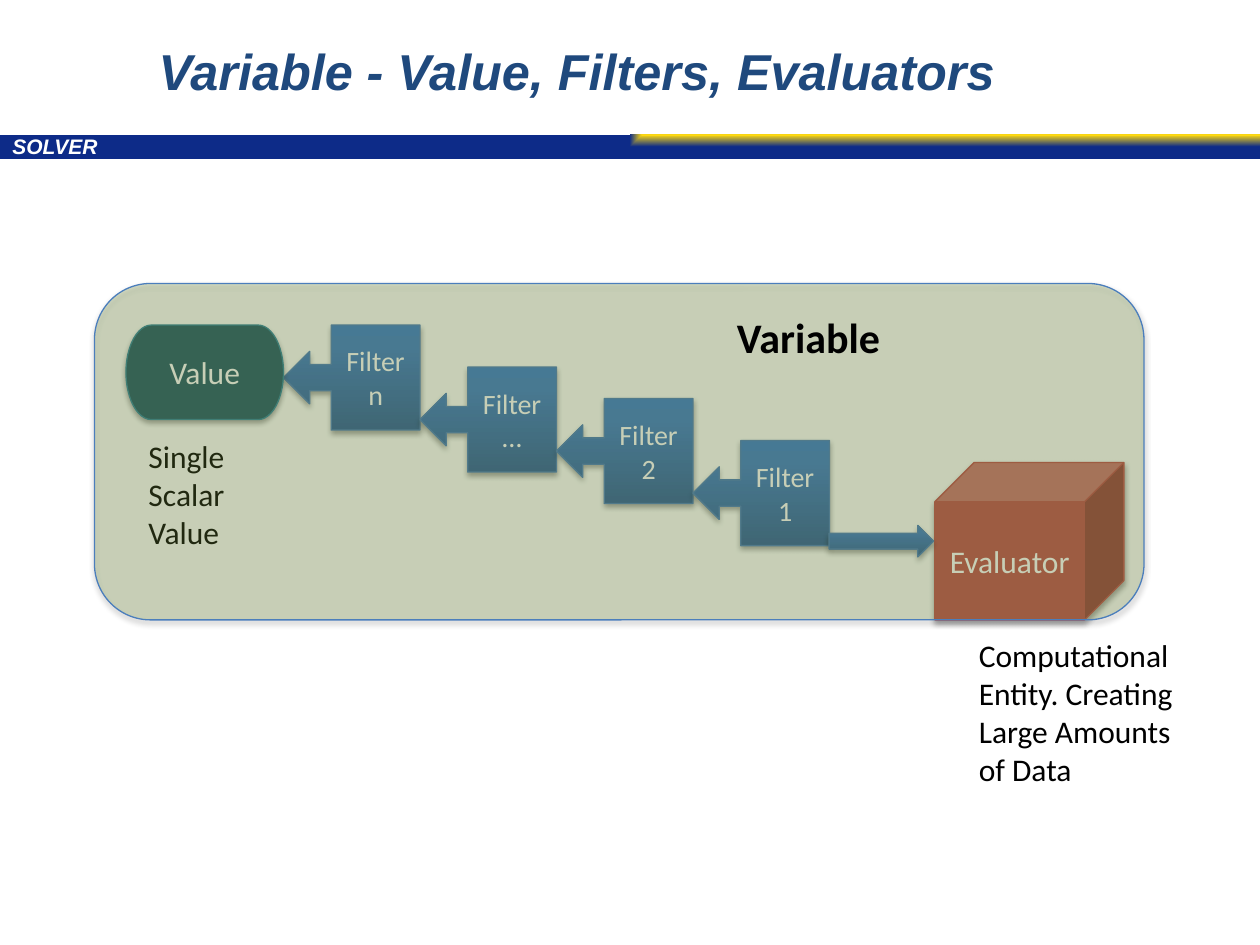
from lxml import etree
from pptx import Presentation
from pptx import util as u
from pptx.dml.color import RGBColor
from pptx.enum import shapes, text
from pptx.oxml.ns import qn

SHAPE = shapes.MSO_SHAPE
ANCHOR = text.MSO_ANCHOR
ALIGN = text.PP_ALIGN
BLUE_STOPS = [(0, "2F5F99"), (80, "3D7CC7"), (100, "3A7CCB")]
BLUE_LINE = "4B7EBC"
HEADING = {"name": "Arial", "bold": True, "italic": True}


def color(value):
    return RGBColor.from_string(value)


def add_node(parent, tag, **attributes):
    return etree.SubElement(parent, qn(tag), {k: str(v) for k, v in attributes.items()})


def add_gradient(shape, stops):
    properties = shape._element.spPr
    gradient = etree.Element(qn("a:gradFill"), {"rotWithShape": "1"})
    properties.find(qn("a:prstGeom")).addnext(gradient)
    stop_list = add_node(gradient, "a:gsLst")
    for position, value in stops:
        stop = add_node(stop_list, "a:gs", pos=position * 1000)
        add_node(stop, "a:srgbClr", val=value)
    return gradient


def add_linear_gradient(shape, stops):
    add_node(add_gradient(shape, stops), "a:lin", ang=270 * 60000, scaled=0)


def add_shadow(shape):
    effects = shape._element.spPr.find(qn("a:effectLst"))
    shadow = add_node(effects, "a:outerShdw", blurRad=40000, dist=23000,
                      dir=90 * 60000, rotWithShape=0)
    add_node(add_node(shadow, "a:srgbClr", val="000000"), "a:alpha", val=35000)


def write(frame, lines, size, fill, align=ALIGN.LEFT, spacing=None, **font):
    for index, line in enumerate(lines):
        paragraph = frame.paragraphs[0] if index == 0 else frame.add_paragraph()
        paragraph.alignment = align
        paragraph.line_spacing = spacing
        run = paragraph.add_run()
        run.text = line
        run.font.color.rgb = color(fill)
        for key, value in {"name": "Calibri", "size": u.Pt(size), **font}.items():
            setattr(run.font, key, value)


def add_text(slide, box, lines, size, fill="000000", wrap=True, anchor=ANCHOR.TOP, **style):
    frame = slide.shapes.add_textbox(*map(u.Inches, box)).text_frame
    frame.word_wrap = wrap
    frame.vertical_anchor = anchor
    write(frame, lines, size, fill, **style)


def add_block(slide, kind, box, line, fill=None, label=None, size=18):
    block = slide.shapes.add_shape(kind, *map(u.Inches, box))
    block.shadow.inherit = False
    if fill:
        block.fill.solid()
        block.fill.fore_color.rgb = color(fill)
    else:
        add_linear_gradient(block, BLUE_STOPS)
    block.line.color.rgb = color(line)
    block.line.width = u.Pt(0.75)
    add_shadow(block)
    if label:
        block.text_frame.vertical_anchor = ANCHOR.MIDDLE
        write(block.text_frame, [label], size, "FFFFFF", align=ALIGN.CENTER)
    return block


def add_banner(slide, left, top, width, height):
    band = slide.shapes.add_shape(SHAPE.RECTANGLE, *map(u.Inches, (left, top, width, height)))
    band.shadow.inherit = False
    band.line.fill.background()
    gradient = add_gradient(band, [(0, "FED910"), (100, "0D2B88")])
    focus = add_node(gradient, "a:path", path="rect")
    add_node(focus, "a:fillToRect", l=100000, b=100000)
    add_text(slide, (left, top - 0.02, 5.5, 0.26), ["SOLVER"], 12, "FFFFFF",
             spacing=0.8, **HEADING)


def add_title(slide, left, top, width, height):
    add_text(slide, (left, top, width, height), ["Variable - Value, Filters, Evaluators"],
             28.8, "1F497D", anchor=ANCHOR.MIDDLE, align=ALIGN.CENTER, **HEADING)


def add_filters(slide, left, top):
    width, height = 13 / 12, 10 / 12
    drops = {"Filter n": 0, "Filter …": 4 / 12, "Filter 2": 7 / 12, "Filter 1": 11 / 12}
    for index, (label, drop) in enumerate(drops.items()):
        add_block(slide, SHAPE.LEFT_ARROW_CALLOUT,
                  (left + index * width, top + drop, width, height),
                  BLUE_LINE, label=label, size=16)


def add_variable(slide, left, top, width, height):
    add_filters(slide, left + 1.5, top + 0.33)
    add_block(slide, SHAPE.CUBE, (left + 6.67, top + height - 1.25, 1.5, 1.25),
              "C0504D", "C0504D", "Evaluator")
    add_block(slide, SHAPE.FLOWCHART_TERMINATOR, (left + 0.25, top + 0.33, 1.25, 0.75),
              "31859C", "215968", "Value")
    add_block(slide, SHAPE.RIGHT_ARROW, (left + 5.83, top + 1.92, 0.83, 0.25), BLUE_LINE)
    add_text(slide, (left + 0.33, top + 1.17, 0.81, 1.01),
             ["Single", "Scalar", "Value"], 18, wrap=False)
    add_text(slide, (left + 6.92, top + height + 0.08, 1.75, 1.31),
             ["Computational", "Entity. Creating", "Large Amounts of Data"], 18)
    veil = add_block(slide, SHAPE.ROUNDED_RECTANGLE, (left, top, width, height),
                     BLUE_LINE, "77933C")
    veil_color = veil._element.spPr.find(qn("a:solidFill")).find(qn("a:srgbClr"))
    add_node(veil_color, "a:alpha", val=28000)
    add_text(slide, (left + 5, top + 0.17, 1.35, 0.5), ["Variable"], 24,
             wrap=False, bold=True)


def main():
    deck = Presentation()
    deck.slide_width, deck.slide_height = u.Inches(10), u.Inches(7.5)
    slide = deck.slides.add_slide(deck.slide_layouts[6])
    add_banner(slide, 0, 1.07, 10, 0.19)
    add_title(slide, 1.08, 0.02, 7, 1.07)
    add_variable(slide, 0.75, 2.25, 8.33, 2.67)
    deck.save("out.pptx")


if __name__ == "__main__":
    main()
